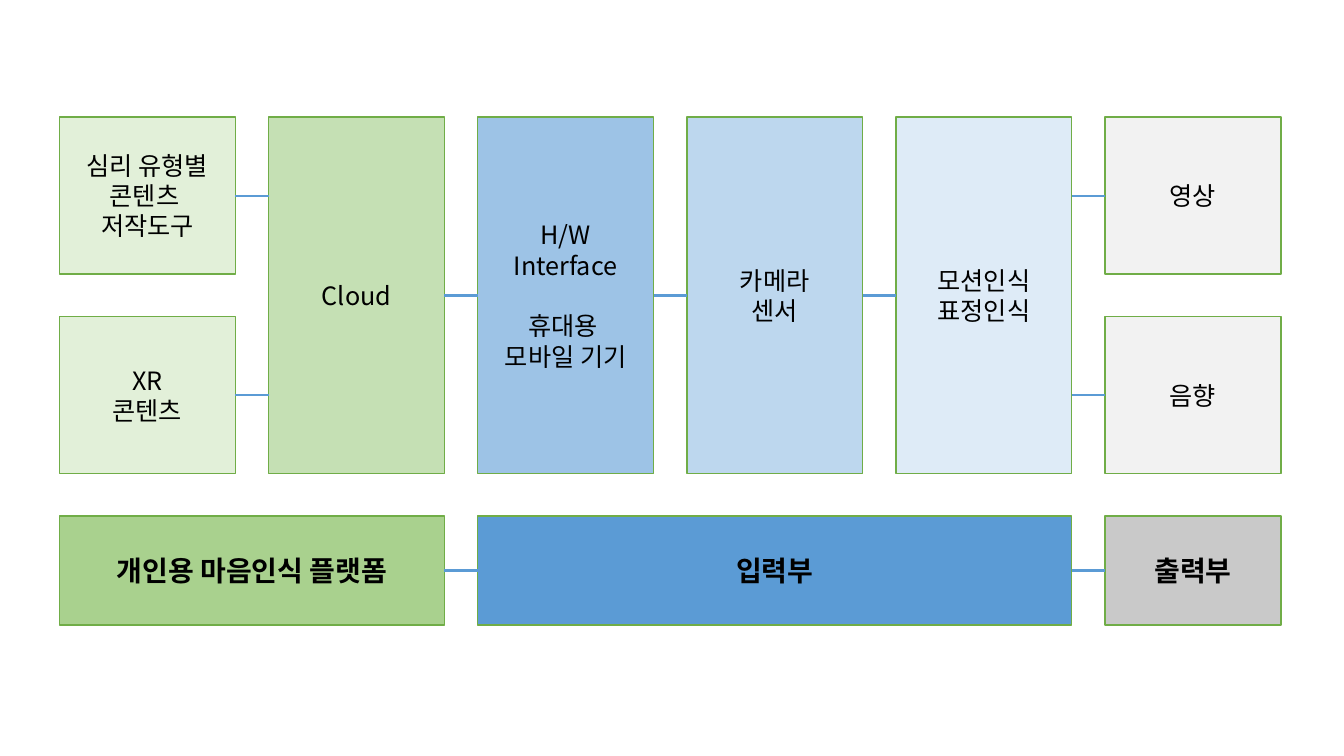
from pptx import Presentation
from pptx.dml.color import RGBColor
from pptx.enum.shapes import MSO_CONNECTOR, MSO_SHAPE
from pptx.enum.text import MSO_ANCHOR, PP_ALIGN
from pptx.oxml.ns import qn
from pptx.util import Cm, Pt
from lxml import etree

RECTANGLE, STRAIGHT = MSO_SHAPE.RECTANGLE, MSO_CONNECTOR.STRAIGHT
MIDDLE, CENTER = MSO_ANCHOR.MIDDLE, PP_ALIGN.CENTER
FONT, BLACK, BORDER, LINK = "Noto Sans CJK KR", "000000", "70AD47", "5B9BD5"

LEFT, BOX_WIDTH, PITCH = 1.5, 4.43, 5.27
BANDS = {"upper": (2.95, 3.96), "lower": (7.98, 3.96),
         "full": (2.95, 8.99), "summary": (13.0, 2.75)}

# column, columns spanned, band, fill, groups of lines
BLOCKS = [
    (0, 1, "upper", "E2F0D9", [["심리 유형별", "콘텐츠 ", "저작도구"]]),
    (0, 1, "lower", "E2F0D9", [["XR", "콘텐츠"]]),
    (1, 1, "full", "C5E0B4", [["Cloud"]]),
    (2, 1, "full", "9DC3E6", [["H/W", "Interface"], ["휴대용 ", "모바일 기기"]]),
    (3, 1, "full", "BDD7EE", [["카메라", "센서"]]),
    (4, 1, "full", "DEEBF7", [["모션인식", "표정인식"]]),
    (5, 1, "upper", "F2F2F2", [["영상"]]),
    (5, 1, "lower", "F2F2F2", [["음향"]]),
    (0, 2, "summary", "A9D18E", [["개인용 마음인식 플랫폼"]]),
    (2, 3, "summary", "5B9BD5", [["입력부"]]),
    (5, 1, "summary", "C9C9C9", [["출력부"]]),
]
LINKS = {"upper": [0, 4], "lower": [0, 4], "full": [1, 2, 3], "summary": [1, 4]}


def color(value):
    """Turn a hex string into a colour."""
    return RGBColor.from_string(value)


def column_left(column):
    """Give the left edge of a column in centimetres."""
    return LEFT + column * PITCH


def write(frame, groups, size=18, bold=False, gap=21.7):
    """Fill a frame with centred lines, with a gap between groups."""
    frame.word_wrap = True
    frame.vertical_anchor = MIDDLE
    lines = [(line, group > 0 and row == 0)
             for group, texts in enumerate(groups) for row, line in enumerate(texts)]
    for index, (line, opens_group) in enumerate(lines):
        paragraph = frame.add_paragraph() if index else frame.paragraphs[0]
        paragraph.alignment = CENTER
        if opens_group:
            paragraph.space_before = Pt(gap)
        run = paragraph.add_run()
        run.text = line
        run.font.name, run.font.size, run.font.bold = FONT, Pt(size), bold
        run.font.color.rgb = color(BLACK)
        etree.SubElement(run.font._element, qn("a:ea"), typeface=FONT)


def add_block(slide, column, span, band, fill, groups):
    """Draw one labelled box on the grid."""
    top, height = BANDS[band]
    width = (span - 1) * PITCH + BOX_WIDTH
    block = slide.shapes.add_shape(
        RECTANGLE, Cm(column_left(column)), Cm(top), Cm(width), Cm(height))
    block.shadow.inherit = False
    block.fill.solid()
    block.fill.fore_color.rgb = color(fill)
    block.line.color.rgb = color(BORDER)
    block.line.width = Pt(1)
    summary = band == "summary"
    write(block.text_frame, groups, size=20 if summary else 18, bold=summary)


def add_link(slide, column, band):
    """Join a column to the next one at the middle of a band."""
    top, height = BANDS[band]
    middle = Cm(top + height / 2)
    link = slide.shapes.add_connector(
        STRAIGHT, Cm(column_left(column) + BOX_WIDTH), middle,
        Cm(column_left(column + 1)), middle)
    link.line.color.rgb = color(LINK)
    link.line.width = Pt(1.5)
    etree.SubElement(link._element.spPr, qn("a:effectLst"))


deck = Presentation()
deck.slide_width, deck.slide_height = Cm(33.87), Cm(19.05)
slide = deck.slides.add_slide(deck.slide_layouts[6])
for block in BLOCKS:
    add_block(slide, *block)
for band, columns in LINKS.items():
    for column in columns:
        add_link(slide, column, band)
deck.save("out.pptx")
